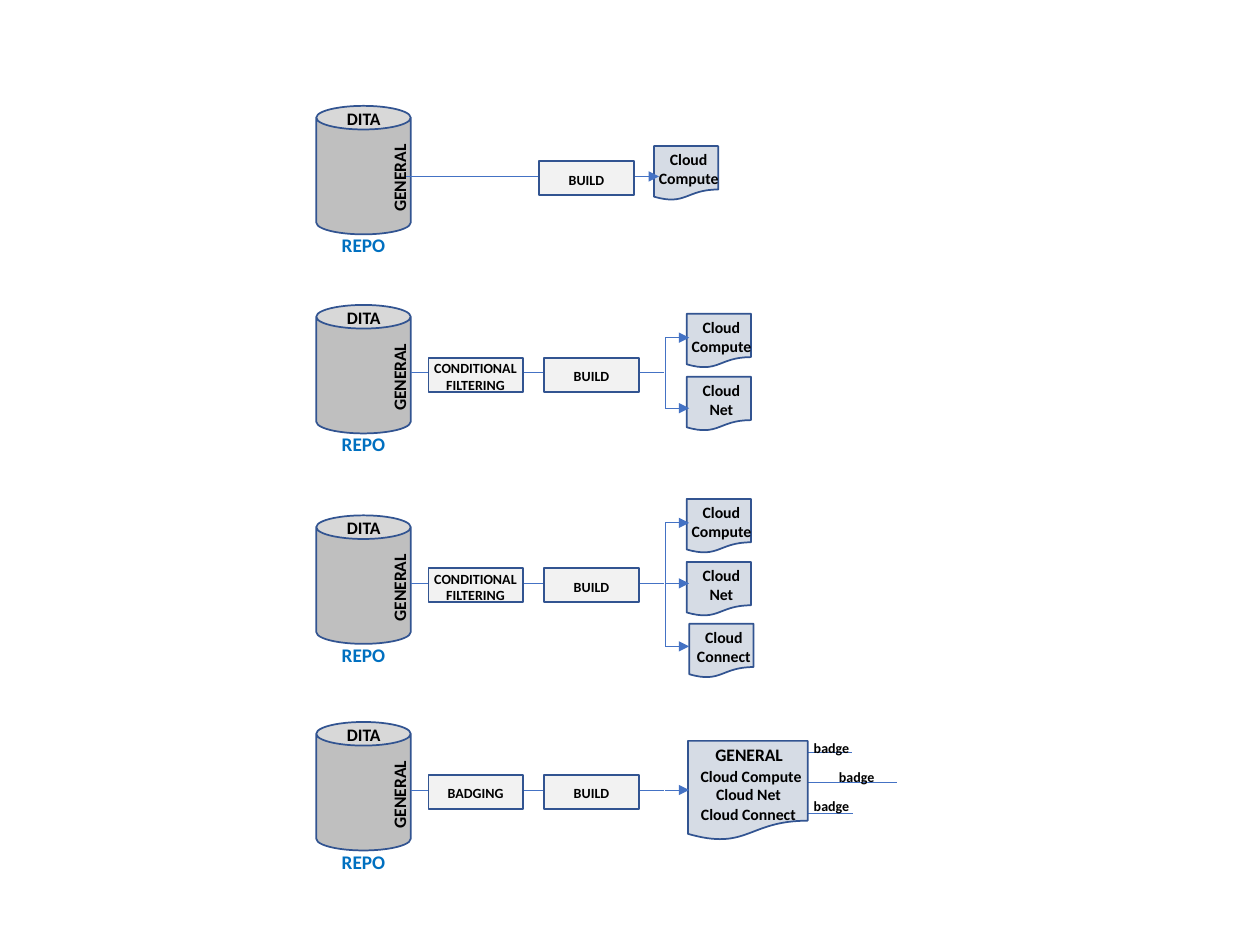
from lxml.etree import SubElement
from pptx import Presentation
from pptx.dml.color import RGBColor
from pptx.enum.shapes import MSO_CONNECTOR, MSO_SHAPE as SHAPE
from pptx.enum.text import MSO_AUTO_SIZE, PP_ALIGN as ALIGN
from pptx.oxml.ns import qn
from pptx.util import Inches, Pt

COLORS = {"text": "000000", "repo": "0070C0", "flow": "4472C4", "edge": "325491",
          "can": "BFBFBF", "step": "F2F2F2", "doc": "D6DCE5"}
FORMATS = {
    "title": {"size": Pt(10), "color": "text", "align": ALIGN.LEFT},
    "repo": {"size": Pt(11), "color": "repo", "align": ALIGN.CENTER},
    "doc": {"size": Pt(9), "color": "text", "align": ALIGN.CENTER},
    "step": {"size": Pt(8), "color": "text", "align": ALIGN.CENTER},
}

# "\n" starts a paragraph, "|" breaks a line; documents are (text, label width, left, top)
COMPUTE, NET, CONNECT = "Cloud\nCompute", "Cloud\nNet", "Cloud\nConnect"
FILTER = "CONDITIONAL|FILTERING"
PIPELINES = [
    {"top": 0.84, "flow": 1.40, "trunk": (3.22, 5.23), "arrow": True,
     "steps": [("BUILD", 4.28)], "docs": [(COMPUTE, 0.68, 5.19, 1.16)], "branches": []},
    {"top": 2.42, "flow": 2.96, "steps": [(FILTER, 3.40), ("BUILD", 4.32)],
     "docs": [(COMPUTE, 0.68, 5.45, 2.49), (NET, 0.51, 5.45, 2.99)],
     "branches": [2.68, 3.24]},
    {"top": 4.09, "flow": 4.63, "steps": [(FILTER, 3.40), ("BUILD", 4.32)],
     "docs": [(COMPUTE, 0.68, 5.45, 3.96), (NET, 0.51, 5.45, 4.46),
              (CONNECT, 0.63, 5.47, 4.95)],
     "branches": [4.15, 4.63, 5.13]},
    {"top": 5.73, "flow": 6.27, "steps": [("BADGING", 3.40), ("BUILD", 4.32)],
     "docs": [], "branches": [6.27]},
]
STEP_WIDTHS = {"BUILD": 0.49, "BADGING": 0.65, FILTER: 0.86}
BADGED_DOC = (5.46, 5.88, 0.95, 0.79)
BADGED_LINES = [  # text, format, centre x, centre y, width, height
    ("GENERAL", "title", 5.95, 5.99, 0.74, 0.27),
    ("Cloud Compute", "doc", 5.96, 6.16, 1.02, 0.25),
    ("Cloud Net", "doc", 5.94, 6.30, 0.72, 0.25),
    ("Cloud Connect", "doc", 5.94, 6.46, 0.96, 0.25),
]
BADGES = [(5.91, 5.97, 6.60, 5.94), (6.27, 6.21, 6.80, 6.17), (5.92, 6.46, 6.60, 6.40)]
BADGE_LINE = 0.85

CAN_X, CAN_W, CAN_H = 2.51, 0.75, 1.02
STEP_W, STEP_H = 0.75, 0.27
DOC_W, DOC_H = 0.51, 0.43
FORK_X, TRUNK_END, BRANCH_END = 5.28, 5.27, 5.47

prs = Presentation()
prs.slide_width, prs.slide_height = Inches(10), Inches(7.5)
s = prs.slides.add_slide(prs.slide_layouts[6])


def rgb(name):
    return RGBColor.from_string(COLORS[name])


def shape(kind, fill, *box):
    sp = s.shapes.add_shape(kind, *map(Inches, box))
    sp.shadow.inherit = False
    sp.fill.solid()
    sp.fill.fore_color.rgb = rgb(fill)
    sp.line.color.rgb = rgb("edge")
    sp.line.width = Pt(1)


def label(text, style, cx, cy, w, h, rotation=0):
    """Place an unwrapped text box around a centre point."""
    sp = s.shapes.add_textbox(*map(Inches, (cx - w / 2, cy - h / 2, w, h)))
    sp.rotation = rotation
    tf = sp.text_frame
    tf.word_wrap = False
    tf.auto_size = MSO_AUTO_SIZE.SHAPE_TO_FIT_TEXT
    fmt = FORMATS[style]
    for i, paragraph in enumerate(text.split("\n")):
        p = tf.add_paragraph() if i else tf.paragraphs[0]
        p.alignment = fmt["align"]
        for j, part in enumerate(paragraph.split("|")):
            if j:
                p.add_line_break()
            r = p.add_run()
            r.text = part
            for name, value in {"name": "Calibri", "bold": True, "size": fmt["size"]}.items():
                setattr(r.font, name, value)
            r.font.color.rgb = rgb(fmt["color"])


def line(x1, y1, x2, y2, arrow=False):
    c = s.shapes.add_connector(MSO_CONNECTOR.STRAIGHT, *map(Inches, (x1, y1, x2, y2)))
    c.line.color.rgb = rgb("flow")
    c.line.width = Pt(0.5)
    if arrow:
        SubElement(c.line._get_or_add_ln(), qn("a:tailEnd"), type="triangle")
    SubElement(c._element.spPr, qn("a:effectLst"))


def repository(top):
    mid = CAN_X + CAN_W / 2
    shape(SHAPE.CAN, "can", CAN_X, top, CAN_W, CAN_H)
    label("REPO", "repo", mid, top + 1.11, 0.55, 0.29)
    label("GENERAL", "title", 3.17, top + 0.57, 0.74, 0.27, 270)
    label("DITA", "title", mid + 0.01, top + 0.1, 0.48, 0.27)


def pipeline(row):
    flow, branches = row["flow"], row["branches"]
    repository(row["top"])
    for text, width, x, y in row["docs"]:
        shape(SHAPE.FLOWCHART_DOCUMENT, "doc", x, y, DOC_W, DOC_H)
        label(text, "doc", x + DOC_W / 2 + 0.02, y + 0.18, width, 0.4)
    start, end = row.get("trunk", (CAN_X + CAN_W, TRUNK_END))
    line(start, flow, end, flow, row.get("arrow", False))
    for text, x in row["steps"]:
        y = flow - 0.12
        shape(SHAPE.FLOWCHART_PROCESS, "step", x, y, STEP_W, STEP_H)
        label(text, "step", x + STEP_W / 2, y + 0.15, STEP_WIDTHS[text],
              0.37 if "|" in text else 0.24)
    if len(branches) > 1:
        line(FORK_X, branches[0], FORK_X, branches[-1])
    for y in branches:
        line(FORK_X, y, BRANCH_END, y, True)


for x, y, _, _ in BADGES:
    line(x, y, x + BADGE_LINE, y)
shape(SHAPE.FLOWCHART_DOCUMENT, "doc", *BADGED_DOC)
for entry in BADGED_LINES:
    label(*entry)
for _, _, cx, cy in BADGES:
    label("badge", "step", cx, cy, 0.48, 0.24)
for row in PIPELINES:
    pipeline(row)

prs.save("out.pptx")
